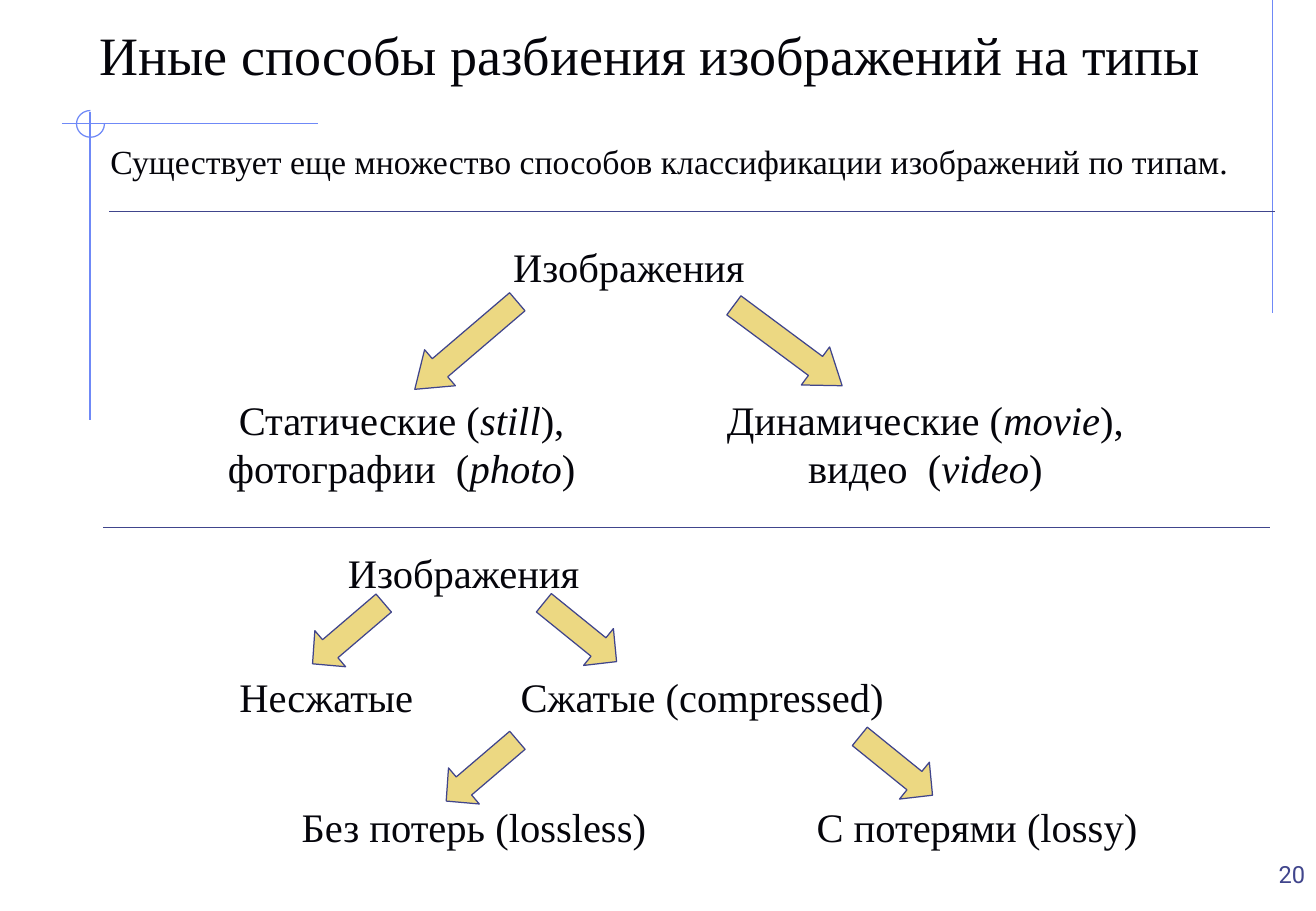
from collections import namedtuple

from lxml.etree import SubElement
from pptx import Presentation
from pptx.dml.color import RGBColor
from pptx.enum.shapes import MSO_CONNECTOR, MSO_SHAPE
from pptx.enum.text import MSO_ANCHOR, MSO_AUTO_SIZE, PP_ALIGN
from pptx.oxml.ns import qn
from pptx.util import Emu, Pt

Box = namedtuple("Box", "left top width height")

SERIF = "Times New Roman"
INK, NAVY, BLUE, GOLD = "05050B", "40458C", "6F89F7", "ECD882"
ARROW_HEIGHT = 39
LABEL_HEIGHTS = {1: 50, 2: 91}


def px(length):
    """Turn px, 100 to the inch, into EMU."""
    return Emu(length * 9144)


def color(code):
    return RGBColor.from_string(code)


def inside(box, left, top, width, height):
    """Place a box by its offset from the corner of another one."""
    return Box(box.left + left, box.top + top, width, height)


def place(shape, box):
    shape.left, shape.top, shape.width, shape.height = map(px, box)


def set_outline(shape, code):
    shape.line.color.rgb = color(code)
    shape.line.width = Pt(0.75)


def draw_line(slide, start, end, code):
    line = slide.shapes.add_connector(MSO_CONNECTOR.STRAIGHT, *map(px, start + end))
    set_outline(line, code)
    SubElement(line._element.spPr, qn("a:effectLst"))


def format_text(frame, size, align, font=SERIF, code=INK):
    for para in frame.paragraphs:
        para.alignment = align
        for span in para.runs:
            span.font.size = Pt(size)
            span.font.name = font
            span.font.color.rgb = color(code)


def add_text(slide, box, lines, size, align=PP_ALIGN.LEFT, font=SERIF, code=INK):
    """Write lines in a text box; parts between asterisks are italic."""
    frame = slide.shapes.add_textbox(*map(px, box)).text_frame
    frame.word_wrap = True
    for number, line in enumerate(lines):
        para = frame.add_paragraph() if number else frame.paragraphs[0]
        for part, words in enumerate(line.split("*")):
            span = para.add_run()
            span.text = words
            span.font.italic = part % 2 == 1
    format_text(frame, size, align, font, code)
    return frame


def draw_frame_marks(slide, box):
    """Draw the thin crossed lines and the arc where they meet."""
    right = box.left + 1047
    draw_line(slide, (right, box.top), (right, box.top + 258), BLUE)
    center_x, center_y = box.left + 74, box.top + 102
    draw_line(slide, (center_x - 23, center_y), (center_x + 188, center_y), BLUE)
    draw_line(slide, (center_x, center_y - 10), (center_x, center_y + 244), BLUE)
    arc = slide.shapes.add_shape(MSO_SHAPE.ARC, 0, 0, 0, 0)
    place(arc, Box(center_x - 11, center_y - 11, 23, 22))
    arc.adjustments[0] = 0
    arc.adjustments[1] = 162  # 270 degrees
    arc.fill.background()
    arc.shadow.inherit = False
    set_outline(arc, BLUE)


def draw_title(slide, box):
    title = slide.shapes.title
    place(title, box)
    frame = title.text_frame
    frame.text = "Иные способы разбиения изображений на типы"
    frame.auto_size = MSO_AUTO_SIZE.NONE
    frame.word_wrap = True
    frame.vertical_anchor = MSO_ANCHOR.BOTTOM
    frame.margin_bottom = px(2)
    format_text(frame, 32, PP_ALIGN.LEFT)


def draw_page_number(slide, box):
    frame = add_text(slide, box, ["20"], 14, PP_ALIGN.RIGHT, "Roboto", NAVY)
    frame.vertical_anchor = MSO_ANCHOR.BOTTOM


def draw_arrow(slide, box, rotation):
    arrow = slide.shapes.add_shape(MSO_SHAPE.RIGHT_ARROW, *map(px, box))
    arrow.rotation = rotation
    arrow.adjustments[0] = 0.5
    arrow.adjustments[1] = 0.7 if box.width > 100 else 0.49
    arrow.fill.solid()
    arrow.fill.fore_color.rgb = color(GOLD)
    arrow.shadow.inherit = False
    set_outline(arrow, NAVY)


def draw_tree(slide, box, labels, arrows):
    """Draw a classification tree under a rule along the top of its box."""
    draw_line(slide, (box.left, box.top), (box.left + box.width, box.top), NAVY)
    for left, top, width, lines in labels:
        label_box = inside(box, left, top, width, LABEL_HEIGHTS[len(lines)])
        add_text(slide, label_box, lines, 24, PP_ALIGN.CENTER)
    for left, top, length, rotation in arrows:
        draw_arrow(slide, inside(box, left, top, length, ARROW_HEIGHT), rotation)


def draw_motion_tree(slide, box):
    labels = [
        (208, 20, 439, ["Изображения"]),
        (21, 146, 439, ["Статические (*still*),", "фотографии  (*photo*)"]),
        (452, 146, 439, ["Динамические (*movie*),", "видео  (*video*)"]),
    ]
    arrows = [(238, 91, 111, 139.5), (503, 91, 111, 36.6)]
    draw_tree(slide, box, labels, arrows)


def draw_compression_tree(slide, box):
    labels = [
        (77, 12, 439, ["Изображения"]),
        (13, 114, 341, ["Несжатые"]),
        (286, 114, 414, ["Сжатые (compressed)"]),
        (98, 221, 414, ["Без потерь (lossless)"]),
        (512, 221, 414, ["C потерями (lossу)"]),
    ]
    arrows = [
        (163, 68, 77, 139.5),
        (354, 67, 77, 39),
        (273, 181, 77, 139.5),
        (614, 177, 77, 39),
    ]
    draw_tree(slide, box, labels, arrows)


def main():
    deck = Presentation()
    deck.slide_width, deck.slide_height = px(1083), px(750)
    slide = deck.slides.add_slide(deck.slide_layouts.get_by_name("Title Only"))
    draw_frame_marks(slide, Box(0, 0, 1083, 750))
    draw_title(slide, Box(72, 33, 985, 40))
    intro = "Существует еще множество способов классификации изображений по типам."
    add_text(slide, Box(81, 111, 964, 44), [intro], 20)
    draw_motion_tree(slide, Box(90, 174, 959, 260))
    draw_compression_tree(slide, Box(85, 434, 960, 271))
    draw_page_number(slide, Box(858, 686, 226, 50))
    deck.save("out.pptx")


if __name__ == "__main__":
    main()
